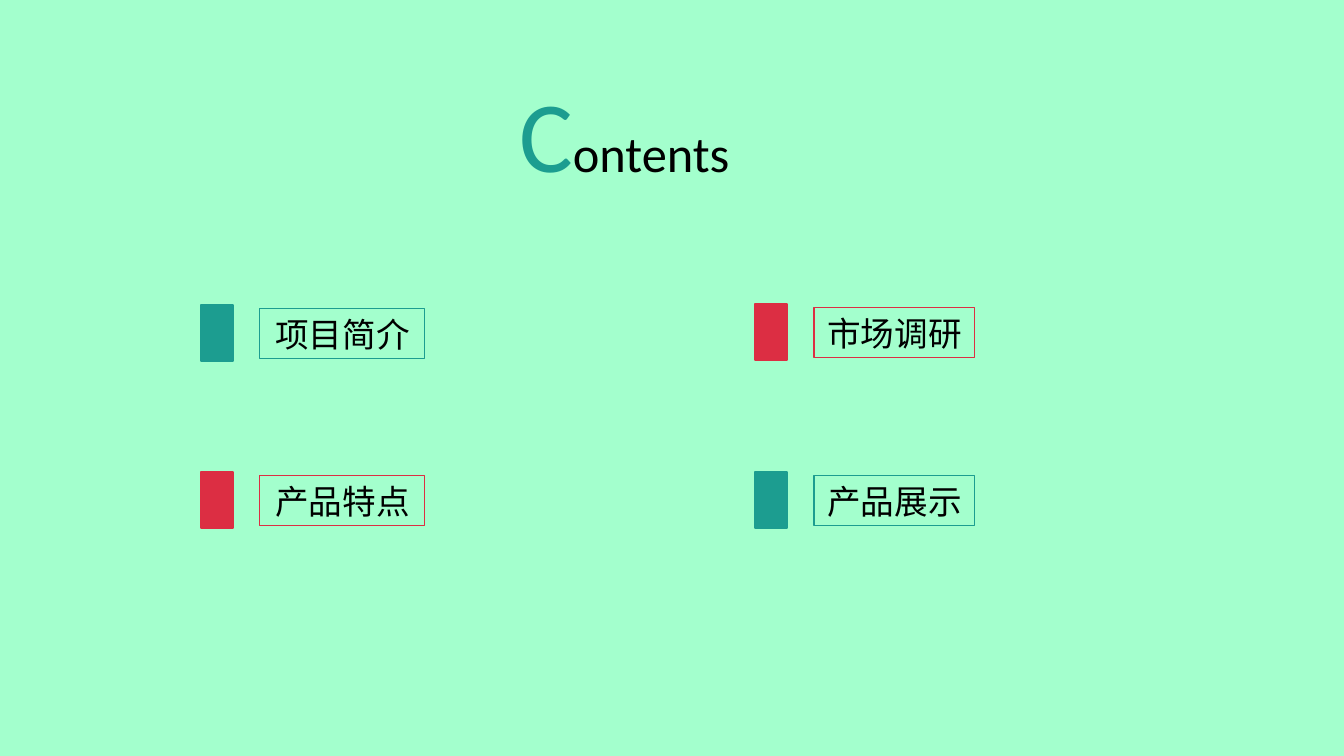
from lxml import etree
from pptx import Presentation
from pptx.dml.color import RGBColor
from pptx.enum.shapes import MSO_SHAPE
from pptx.enum.text import MSO_ANCHOR, MSO_AUTO_SIZE, PP_ALIGN
from pptx.oxml.ns import qn
from pptx.util import Pt

EMU_PER_PX = 914400 / 100.8
TITLE_ONLY = 5
RECTANGLE = MSO_SHAPE.RECTANGLE
TOP, MIDDLE = MSO_ANCHOR.TOP, MSO_ANCHOR.MIDDLE
LEFT, CENTER = PP_ALIGN.LEFT, PP_ALIGN.CENTER
FIXED, GROW = MSO_AUTO_SIZE.NONE, MSO_AUTO_SIZE.SHAPE_TO_FIT_TEXT

MINT = RGBColor(0xA3, 0xFF, 0xCD)
TEAL = RGBColor(0x1C, 0x9D, 0x90)
RED = RGBColor(0xDC, 0x2E, 0x43)
BLACK = RGBColor(0, 0, 0)
LATIN_FONT = "Calibri"
CHINESE_FONT = "Noto Sans CJK SC"

# Wording, colour, left, top, label width
ENTRIES = [
    ("项目简介", TEAL, 201, 305, 165),
    ("市场调研", RED, 755, 304, 161),
    ("产品特点", RED, 201, 472, 165),
    ("产品展示", TEAL, 755, 472, 161),
]
MARKER_WIDTH, MARKER_HEIGHT = 32, 56
LABEL_OFFSET_X, LABEL_OFFSET_Y, LABEL_HEIGHT = 59, 4, 50


def px(length):
    return round(length * EMU_PER_PX)


def set_format(target, values):
    for name, value in values.items():
        setattr(target, name, value)


def add_span(para, text, size, color, font_name):
    span = para.add_run()
    span.text = text
    set_format(span.font, {"size": Pt(size), "name": font_name, "bold": False})
    span.font.color.rgb = color
    east_asian = etree.SubElement(span.font._element, qn("a:ea"))
    east_asian.set("typeface", font_name)


def add_rectangle(page, bounds, color, line_width, filled):
    box = page.shapes.add_shape(RECTANGLE, *map(px, bounds))
    box.shadow.inherit = False
    if filled:
        box.fill.solid()
        box.fill.fore_color.rgb = color
    else:
        box.fill.background()
    box.line.color.rgb = color
    box.line.width = Pt(line_width)
    return box


def add_title(page):
    title = page.shapes.title
    set_format(title, {"left": px(509), "top": px(67),
                       "width": px(327), "height": px(132)})
    set_format(title.text_frame, {"word_wrap": True, "auto_size": GROW,
                                  "vertical_anchor": TOP})
    para = title.text_frame.paragraphs[0]
    para.alignment = LEFT
    add_span(para, "C", 72, TEAL, LATIN_FONT)
    add_span(para, "ontents", 36, BLACK, LATIN_FONT)


def add_entry(page, text, color, left, top, label_width):
    """Add a solid marker and the outlined label to its right."""
    marker_bounds = (left, top, MARKER_WIDTH, MARKER_HEIGHT)
    add_rectangle(page, marker_bounds, color, 1.25, filled=True)
    label_bounds = (left + LABEL_OFFSET_X, top + LABEL_OFFSET_Y,
                    label_width, LABEL_HEIGHT)
    label = add_rectangle(page, label_bounds, color, 0.75, filled=False)
    set_format(label.text_frame, {"word_wrap": True, "auto_size": FIXED,
                                  "vertical_anchor": MIDDLE})
    para = label.text_frame.paragraphs[0]
    para.alignment = CENTER
    add_span(para, text, 24, BLACK, CHINESE_FONT)


def main():
    deck = Presentation()
    set_format(deck, {"slide_width": px(1344), "slide_height": px(756)})
    page = deck.slides.add_slide(deck.slide_layouts[TITLE_ONLY])
    page.background.fill.solid()
    page.background.fill.fore_color.rgb = MINT
    add_title(page)
    for entry in ENTRIES:
        add_entry(page, *entry)
    deck.save("out.pptx")


if __name__ == "__main__":
    main()
